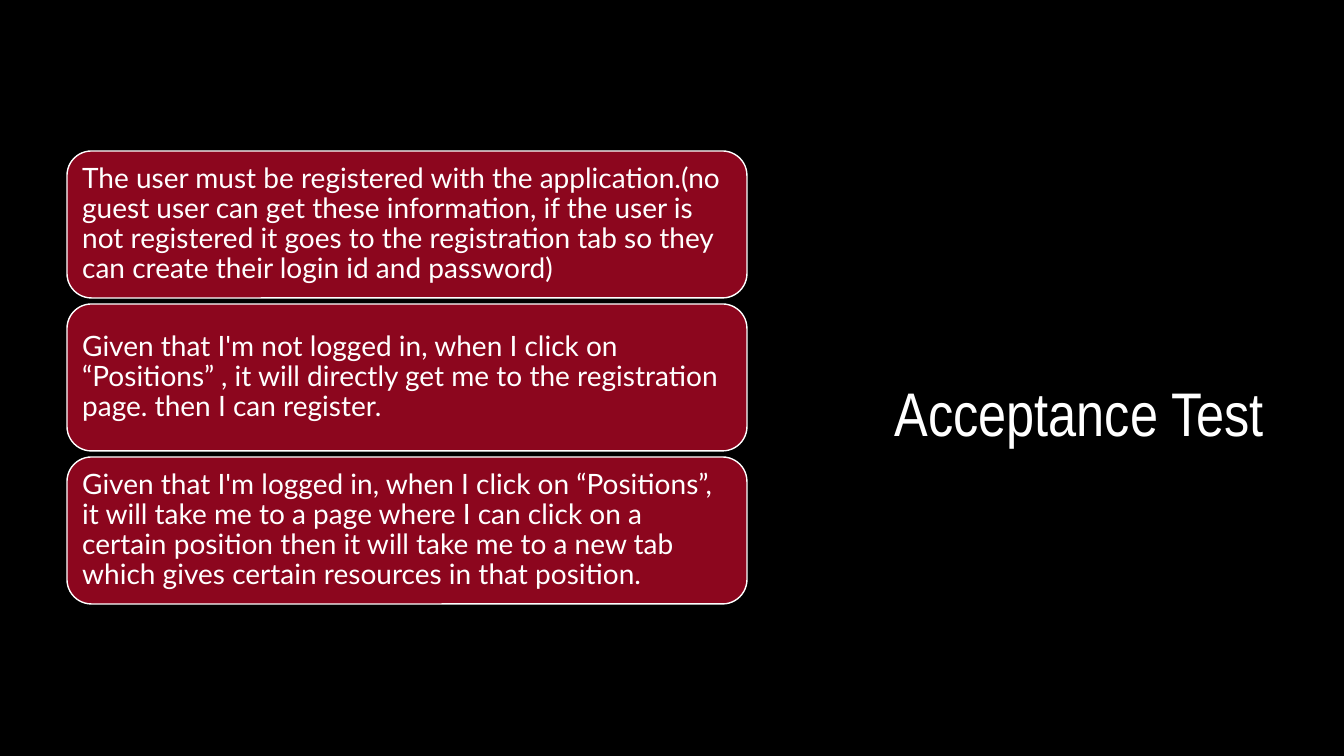
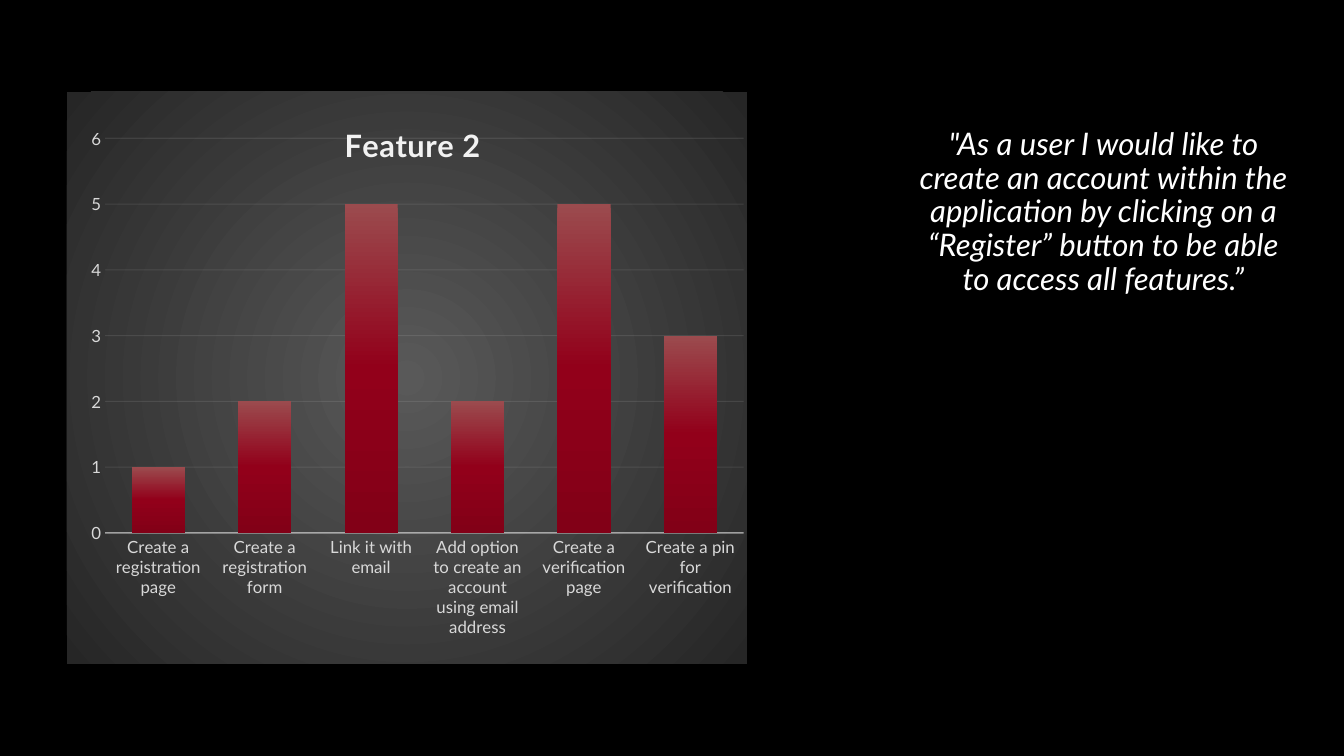
from dataclasses import dataclass

from lxml import etree
from pptx import Presentation
from pptx import util as u
from pptx.chart.data import CategoryChartData
from pptx.dml.color import RGBColor
from pptx.enum import chart as charts, shapes, text
from pptx.oxml import parse_xml
from pptx.oxml.ns import nsdecls, qn

EMU_PER_PX = 914400 / 100.8
COLORS = {
    "black": "000000", "white": "FFFFFF", "crimson": "8C061E",
    "label": "D9D9D9", "rule": "F2F2F2", "panel_center": "595959",
    "panel_edge": "262626", "bar_top": "9B4B4E", "bar_middle": "92001A",
    "bar_bottom": "820017",
}
BODY_FONT = "Lato"
TITLE_FONT = "Arial Narrow"
REQUIREMENTS = (
    "The user must be registered with the application.(no guest user can get these "
    "information, if the user is not registered it goes to the registration tab so they "
    "can create their login id and password)",
    "Given that I'm not logged in, when I click on “Positions” , it will directly get me "
    "to the registration page. then I can register.",
    "Given that I'm logged in, when I click on “Positions”, it will take me to a page where "
    "I can click on a certain position then it will take me to a new tab which gives "
    "certain resources in that position.",
)
USER_STORY = (
    '"As a user I would like to create an account within the application by clicking on a '
    "“Register” button to be able to access all features.”"
)
EFFORTS = {
    "Create a registration page": 1,
    "Create a registration form": 2,
    "Link it with email": 5,
    "Add option to create an account using email address": 2,
    "Create a verification page": 5,
    "Create a pin for verification": 3,
}


@dataclass(frozen=True)
class Box:
    """A rectangle in px."""
    left: int
    top: int
    width: int
    height: int

    def emu(self) -> tuple[int, ...]:
        """Return the rectangle in EMU."""
        return tuple(px(n) for n in (self.left, self.top, self.width, self.height))


@dataclass(frozen=True)
class Style:
    """The look of a text."""
    size: float
    font: str = BODY_FONT
    color: str = "white"
    bold: bool = False
    italic: bool = False


TITLE_BOX = Box(878, 220, 403, 235)
STORY_BOX = Box(902, 124, 403, 190)
CHART_BOX = Box(67, 92, 680, 572)
FIRST_CARD = Box(67, 151, 680, 147)
CARD_PITCH = 153
CARD_INSET = 8
TITLE_STYLE = Style(44, TITLE_FONT)
CARD_STYLE = Style(20)
STORY_STYLE = Style(22.2, italic=True)
HEADING_STYLE = Style(22, color="rule", bold=True)
AXIS_STYLE = Style(12, color="label")


def px(length: int) -> int:
    """Turn px into EMU."""
    return round(length * EMU_PER_PX)


def rgb(name: str) -> RGBColor:
    """Look up a colour."""
    return RGBColor.from_string(COLORS[name])


def apply_style(font, style: Style) -> None:
    """Format a font."""
    font.name, font.size = style.font, u.Pt(style.size)
    font.bold, font.italic = style.bold, style.italic
    font.color.rgb = rgb(style.color)


def write(frame, wording: str, style: Style, align, anchor) -> None:
    """Fill a text frame with one paragraph."""
    frame.text = wording
    frame.word_wrap = True
    frame.auto_size = text.MSO_AUTO_SIZE.NONE
    frame.vertical_anchor = anchor
    paragraph = frame.paragraphs[0]
    paragraph.alignment = align
    paragraph.line_spacing = 0.9
    apply_style(paragraph.runs[0].font, style)


def add_card(slide, box: Box, wording: str) -> None:
    """Draw one requirement card."""
    card = slide.shapes.add_shape(shapes.MSO_SHAPE.ROUNDED_RECTANGLE, *box.emu())
    card.shadow.inherit = False
    card.fill.solid()
    card.fill.fore_color.rgb = rgb("crimson")
    card.line.color.rgb = rgb("white")
    card.line.width = u.Pt(1)
    frame = card.text_frame
    frame.margin_left = frame.margin_right = px(CARD_INSET)
    frame.margin_top = frame.margin_bottom = px(CARD_INSET)
    write(frame, wording, CARD_STYLE, text.PP_ALIGN.LEFT, text.MSO_ANCHOR.MIDDLE)


def gradient(names: tuple[str, ...], direction: str):
    """Build a gradient fill with evenly spaced stops."""
    step = 100000 // (len(names) - 1)
    stops = "".join(
        f'<a:gs pos="{i * step}"><a:srgbClr val="{COLORS[name]}"/></a:gs>'
        for i, name in enumerate(names)
    )
    return parse_xml(
        f'<a:gradFill {nsdecls("a")} rotWithShape="1"><a:gsLst>{stops}</a:gsLst>'
        f"{direction}</a:gradFill>"
    )


def manual_layout(parent, **settings) -> etree.ElementBase:
    """Build a manual layout that replaces the one of the parent."""
    for old in parent.findall(qn("c:layout")):
        parent.remove(old)
    items = "".join(f'<c:{key} val="{value}"/>' for key, value in settings.items())
    return parse_xml(
        f'<c:layout {nsdecls("c")}><c:manualLayout>{items}</c:manualLayout></c:layout>'
    )


def rule_line(line, width: float, opacity: int) -> None:
    """Format a translucent chart line."""
    line.color.rgb = rgb("rule")
    line.width = u.Pt(width)
    color = line._get_or_add_ln().find(".//" + qn("a:srgbClr"))
    etree.SubElement(color, qn("a:alpha")).set("val", str(opacity * 1000))


def style_axes(chart) -> None:
    """Format both axes and the grid."""
    steps, efforts = chart.category_axis, chart.value_axis
    for axis in (steps, efforts):
        axis.major_tick_mark = axis.minor_tick_mark = charts.XL_TICK_MARK.NONE
        apply_style(axis.tick_labels.font, AXIS_STYLE)
    rule_line(steps.format.line, 1, 54)
    efforts.minimum_scale, efforts.maximum_scale, efforts.major_unit = 0, 6, 1
    efforts.format.line.fill.background()
    rule_line(efforts.major_gridlines.format.line, 0.75, 10)


def style_heading(chart, wording: str) -> None:
    """Write the chart title over the plot."""
    heading = chart.chart_title
    heading.text_frame.text = wording
    run = heading.text_frame.paragraphs[0].runs[0]
    apply_style(run.font, HEADING_STYLE)
    run.font._element.set("spc", "50")
    element = heading._element
    layout = manual_layout(element, xMode="edge", yMode="edge", x=0.4, y=0.045)
    element.find(qn("c:tx")).addnext(layout)
    element.find(qn("c:overlay")).set("val", "1")


def add_effort_chart(slide) -> None:
    """Draw the column chart on its shaded panel."""
    efforts = CategoryChartData()
    efforts.categories = list(EFFORTS)
    efforts.add_series("Series 1", list(EFFORTS.values()))
    chart = slide.shapes.add_chart(
        charts.XL_CHART_TYPE.COLUMN_CLUSTERED, *CHART_BOX.emu(), efforts
    ).chart
    chart.has_legend = False
    apply_style(chart.font, Style(10))
    style_heading(chart, "Feature 2")
    style_axes(chart)

    plot = chart.plots[0]
    plot.gap_width, plot.overlap, plot.vary_by_categories = 100, -24, False
    bars = plot.series[0]
    bars.invert_if_negative = False
    bars.format.line.fill.background()
    bars._element.find(qn("c:spPr")).insert(
        0, gradient(("bar_top", "bar_middle", "bar_bottom"), '<a:lin ang="5400000" scaled="0"/>')
    )

    space = chart._chartSpace
    area = space.find(".//" + qn("c:plotArea"))
    area.insert(0, manual_layout(
        area, layoutTarget="inner", xMode="edge", yMode="edge", x=0.056, y=0.081, w=0.939, h=0.69
    ))
    panel = parse_xml(f'<c:spPr {nsdecls("c", "a")}><a:ln><a:noFill/></a:ln></c:spPr>')
    panel.insert(0, gradient(
        ("panel_center", "panel_edge"),
        '<a:path path="circle"><a:fillToRect l="50000" t="50000" r="50000" b="50000"/></a:path>',
    ))
    space.find(qn("c:txPr")).addprevious(panel)


def build_acceptance_slide(prs) -> None:
    """Build the slide of requirement cards."""
    slide = prs.slides.add_slide(prs.slide_layouts[5])
    title = slide.shapes.title
    title.left, title.top, title.width, title.height = TITLE_BOX.emu()
    write(title.text_frame, "Acceptance Test", TITLE_STYLE,
          text.PP_ALIGN.CENTER, text.MSO_ANCHOR.BOTTOM)
    first = FIRST_CARD
    for i, wording in enumerate(REQUIREMENTS):
        box = Box(first.left, first.top + i * CARD_PITCH, first.width, first.height)
        add_card(slide, box, wording)


def build_feature_slide(prs) -> None:
    """Build the slide of the chart and its user story."""
    slide = prs.slides.add_slide(prs.slide_layouts[6])
    add_effort_chart(slide)
    story = slide.shapes.add_textbox(*STORY_BOX.emu())
    write(story.text_frame, USER_STORY, STORY_STYLE,
          text.PP_ALIGN.CENTER, text.MSO_ANCHOR.TOP)


def main() -> None:
    """Build and save the presentation."""
    prs = Presentation()
    prs.slide_width, prs.slide_height = px(1344), px(756)
    backdrop = prs.slide_master.background.fill
    backdrop.solid()
    backdrop.fore_color.rgb = rgb("black")
    build_acceptance_slide(prs)
    build_feature_slide(prs)
    prs.save("out.pptx")


if __name__ == "__main__":
    main()
